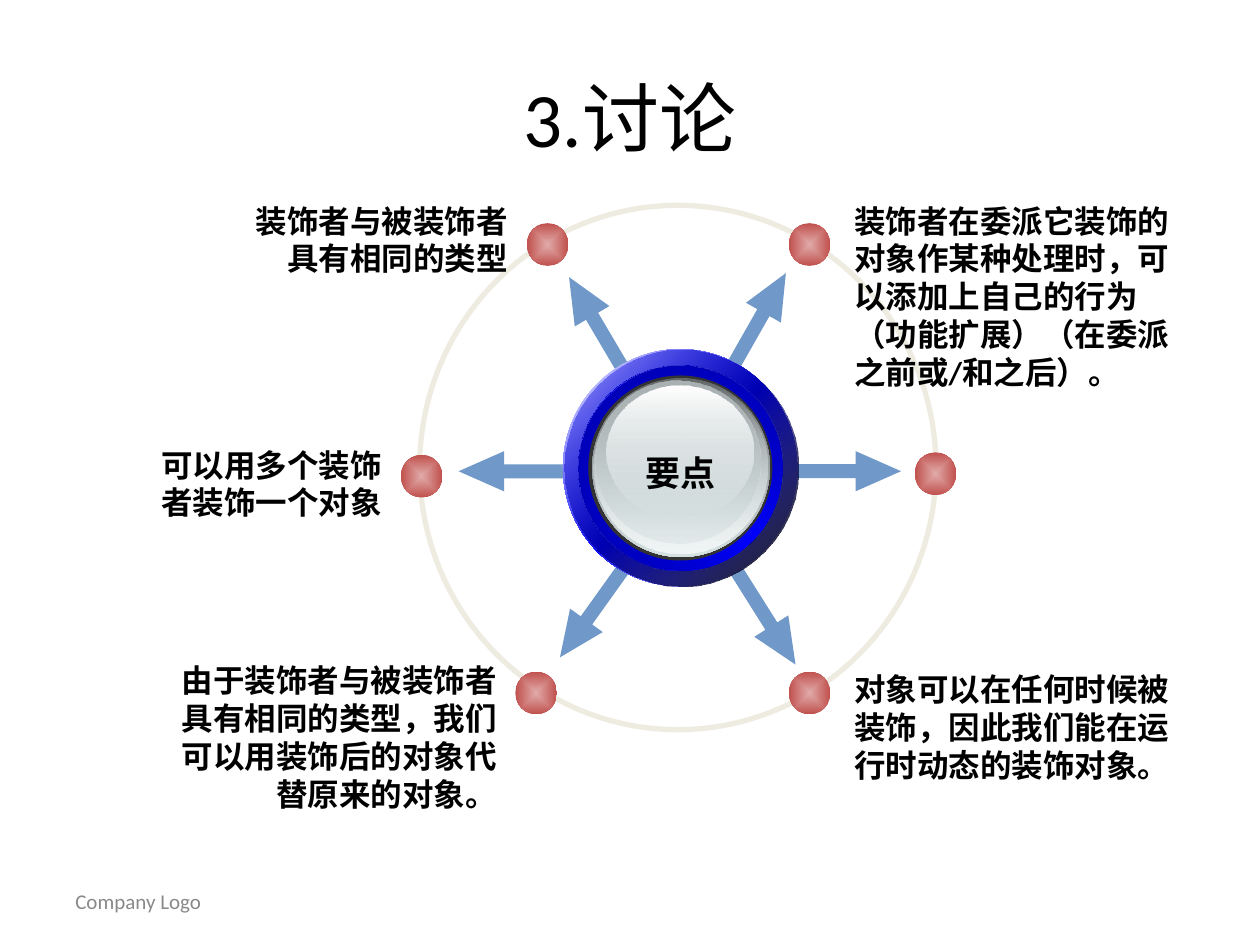
"""Builds a hub-and-spoke discussion slide about the decorator pattern."""
from dataclasses import dataclass

from lxml.etree import SubElement
from pptx import Presentation
from pptx.dml.color import RGBColor
from pptx.enum.shapes import MSO_SHAPE
from pptx.enum.text import MSO_ANCHOR, MSO_AUTO_SIZE, PP_ALIGN
from pptx.oxml.ns import qn
from pptx.util import Cm, Pt


@dataclass(frozen=True)
class Theme:
    font: str = "Calibri"
    ink: str = "000000"
    muted: str = "898989"
    arrow: tuple = ("4F81BD", 81)
    orbit: str = "EEECE1"
    dot: tuple = (("E0AAA8", 100), ("C0504D", 100))
    rim: tuple = (("FFFFFF", 100), ("0000FF", 100), ("FFFFFF", 100))
    rim_shade: tuple = (("0000FF", 32), ("000000", 90))
    band: tuple = (("00008A", 100), ("0000FF", 100), ("00008A", 100))
    band_shade: tuple = (("0000A2", 100), ("0000FF", 0))
    groove: tuple = ("333333", 100)
    glass_edge: tuple = (("636869", 100), ("D6E1E2", 100))
    glass: tuple = (("D6E1E2", 0), ("F1F5F5", 100))
    glass_shade: tuple = (("AAB2B3", 100), ("D6E1E2", 48))
    gloss: tuple = (("FFFFFF", 100), ("D6E1E2", 38))
    title_size: int = 44
    hub_size: int = 20
    body_size: int = 18
    footer_size: int = 12


class Page:
    def __init__(self, slide, theme):
        self.slide = slide
        self.theme = theme

    def text(self, frame, lines, size, color=None, bold=False,
             align=PP_ALIGN.LEFT, anchor=MSO_ANCHOR.TOP, wrap=True, grow=False):
        box = self.slide.shapes.add_textbox(*map(Cm, frame))
        body = box.text_frame
        body.word_wrap = wrap
        body.vertical_anchor = anchor
        body.auto_size = MSO_AUTO_SIZE.SHAPE_TO_FIT_TEXT if grow else MSO_AUTO_SIZE.NONE
        for index, line in enumerate(lines):
            para = body.add_paragraph() if index else body.paragraphs[0]
            para.alignment = align
            span = para.add_run()
            span.text = line
            span.font.name = self.theme.font
            span.font.size = Pt(size)
            span.font.bold = bold
            span.font.color.rgb = RGBColor.from_string(color or self.theme.ink)

    def shape(self, preset, frame):
        shape = self.slide.shapes.add_shape(preset, *map(Cm, frame))
        shape.shadow.inherit = False
        shape.fill.background()
        shape.line.fill.background()
        return shape

    def color(self, parent, value, opacity):
        node = SubElement(parent, qn("a:srgbClr"), val=value)
        if opacity < 100:
            SubElement(node, qn("a:alpha"), val=str(opacity * 1000))

    def solid(self, shape, paint):
        shape.fill.solid()
        fill = shape._element.spPr.find(qn("a:solidFill"))
        for child in list(fill):
            fill.remove(child)
        self.color(fill, *paint)

    def gradient(self, shape, stops, angle=None):
        properties = shape._element.spPr
        fill = properties.makeelement(qn("a:gradFill"), {"rotWithShape": "1"})
        properties.replace(properties.find(qn("a:noFill")), fill)
        stop_list = SubElement(fill, qn("a:gsLst"))
        for index, stop in enumerate(stops):
            place = index * 100000 // (len(stops) - 1)
            self.color(SubElement(stop_list, qn("a:gs"), pos=str(place)), *stop)
        if angle is None:
            route = SubElement(fill, qn("a:path"), path="rect")
            SubElement(route, qn("a:fillToRect"), l="50000", t="50000", r="50000", b="50000")
        else:
            SubElement(fill, qn("a:lin"), ang=str(angle * 60000), scaled="1")

    def arrow(self, center_x, center_y, length, angle):
        height = 0.81
        frame = (center_x - length / 2, center_y - height / 2, length, height)
        arrow = self.shape(MSO_SHAPE.RIGHT_ARROW, frame)
        arrow.adjustments[0] = 0.35
        arrow.adjustments[1] = 1.13
        arrow.rotation = angle
        self.solid(arrow, self.theme.arrow)

    def orbit(self, frame):
        ring = self.shape(MSO_SHAPE.OVAL, frame)
        ring.line.color.rgb = RGBColor.from_string(self.theme.orbit)
        ring.line.width = Pt(3)

    def dot(self, center_x, center_y):
        width, height = 0.84, 0.86
        frame = (center_x - width / 2, center_y - height / 2, width, height)
        self.gradient(self.shape(MSO_SHAPE.OVAL, frame), self.theme.dot)

    def disc(self, frame, paint, angle=None):
        disc = self.shape(MSO_SHAPE.OVAL, frame)
        if angle is None:
            self.solid(disc, paint)
        else:
            self.gradient(disc, paint, angle)


ARROWS = [
    (15.29, 6.48, 2.24, 299.6),
    (15.44, 12.45, 2.24, 57.8),
    (12.04, 6.55, 2.24, 239.5),
    (11.94, 12.34, 2.24, 125.6),
    (17.06, 9.5, 2.21, 0),
    (10.45, 9.5, 2.41, 180),
]
DOTS = [(8.5, 9.6), (11.04, 4.93), (16.32, 4.93),
        (10.81, 13.97), (16.32, 13.97), (18.86, 9.55)]
POINTS = [
    ((16.97, 3.94, 6.86, 4.06), PP_ALIGN.LEFT,
     ["装饰者在委派它装饰的", "对象作某种处理时，可", "以添加上自己的行为",
      "（功能扩展）（在委派", "之前或/和之后）。"]),
    ((4.9, 3.94, 5.59, 1.78), PP_ALIGN.RIGHT,
     ["装饰者与被装饰者", "具有相同的类型"]),
    ((16.97, 13.39, 6.86, 2.54), PP_ALIGN.LEFT,
     ["对象可以在任何时候被", "装饰，因此我们能在运", "行时动态的装饰对象。"]),
    ((3, 8.86, 4.95, 1.78), PP_ALIGN.RIGHT,
     ["可以用多个装饰", "者装饰一个对象"]),
    ((3.4, 13.21, 6.86, 3.3), PP_ALIGN.RIGHT,
     ["由于装饰者与被装饰者", "具有相同的类型，我们", "可以用装饰后的对象代",
      "替原来的对象。"]),
]


def main():
    theme = Theme()
    deck = Presentation()
    deck.slide_width, deck.slide_height = Cm(25.4), Cm(19.05)
    page = Page(deck.slides.add_slide(deck.slide_layouts[6]), theme)

    page.text((1.27, 17.65, 5.92, 1.02), ["Company Logo"], theme.footer_size,
              theme.muted, anchor=MSO_ANCHOR.MIDDLE)
    page.text((1.27, 0.76, 22.86, 3.18), ["3.讨论"], theme.title_size,
              align=PP_ALIGN.CENTER, anchor=MSO_ANCHOR.MIDDLE)
    for arrow in ARROWS:
        page.arrow(*arrow)
    page.orbit((8.46, 4.14, 10.41, 10.57))
    for frame, align, lines in POINTS:
        page.text(frame, lines, theme.body_size, bold=True, align=align,
                  wrap=False, grow=True)
    for center in DOTS:
        page.dot(*center)

    band_frame = (11.66, 7.37, 4.11, 4.14)
    hub = [
        ((11.35, 7.04, 4.72, 4.78), theme.rim, 45),
        ((11.38, 7.04, 4.72, 4.78), theme.rim_shade, 45),
        (band_frame, theme.band, 315),
        (band_frame, theme.band_shade, 45),
        ((11.86, 7.57, 3.71, 3.73), theme.groove, None),
        ((11.94, 7.62, 3.58, 3.61), theme.glass_edge, 90),
        ((11.96, 7.65, 3.51, 3.51), theme.glass, 90),
        ((12.01, 7.67, 3.33, 3.28), theme.glass_shade, 90),
        ((12.22, 7.77, 2.97, 2.67), theme.gloss, 90),
    ]
    for frame, paint, angle in hub:
        page.disc(frame, paint, angle)
    page.text((12.65, 8.97, 2.16, 1.12), ["要点"], theme.hub_size, bold=True,
              align=PP_ALIGN.CENTER, grow=True)
    deck.save("out.pptx")


if __name__ == "__main__":
    main()
